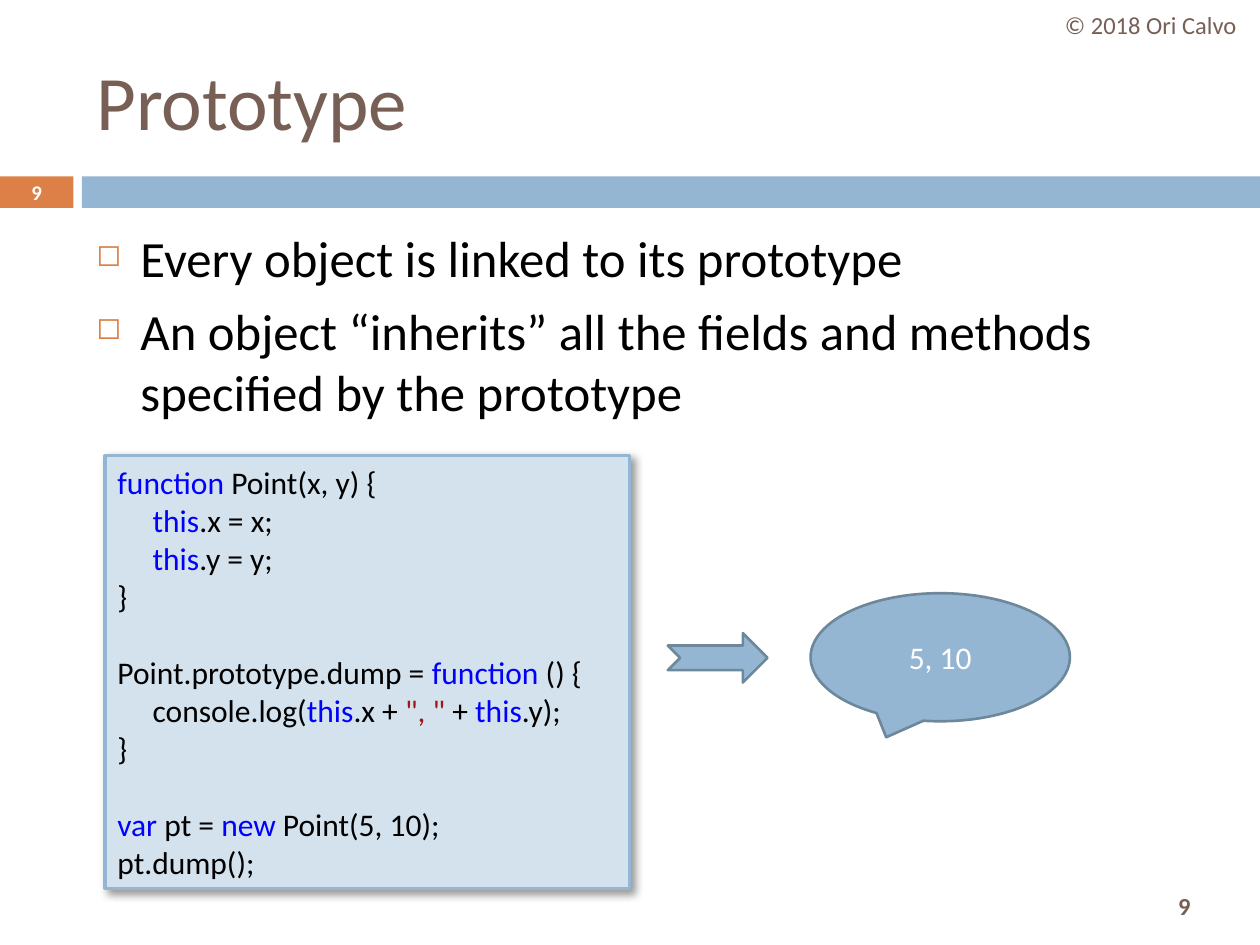
from dataclasses import dataclass

from lxml.etree import SubElement
from pptx import Presentation
from pptx.dml.color import RGBColor
from pptx.enum.shapes import MSO_SHAPE
from pptx.enum.text import MSO_ANCHOR, PP_ALIGN
from pptx.oxml.ns import qn
from pptx.util import Inches, Pt

UNIT = Inches(1 / 12)  # the slide is a grid of 120 columns by 90 rows


@dataclass(frozen=True)
class Theme:
    font: str = "Calibri"
    brown: str = "775F55"
    orange: str = "DD8047"
    blue: str = "94B6D2"
    pale_blue: str = "D4E2ED"
    outline: str = "6D879B"
    black: str = "000000"
    white: str = "FFFFFF"
    keyword: str = "0000FF"
    string: str = "A31515"
    title_size: float = 44
    body_size: float = 29
    code_size: float = 18
    small_size: float = 14
    badge_size: float = 11.9


THEME = Theme()


@dataclass(frozen=True)
class Area:
    col: float
    row: float
    cols: float
    rows: float

    def emu(self) -> list[int]:
        return [round(n * UNIT) for n in (self.col, self.row, self.cols, self.rows)]


@dataclass(frozen=True)
class Panel:
    kind: MSO_SHAPE
    area: Area
    fill: str
    line: str | None = None
    weight: float = 1.5


@dataclass(frozen=True)
class Span:
    text: str
    color: str = THEME.black


@dataclass(frozen=True)
class Line:
    spans: tuple[Span, ...]
    indent: float = 0  # inches
    hanging: float = 0  # inches
    before: float = 0  # points
    bullet: str = ""


@dataclass(frozen=True)
class Label:
    text: str
    area: Area
    size: float
    color: str
    bold: bool = False
    align: PP_ALIGN = PP_ALIGN.CENTER


def draw_panel(slide, panel: Panel):
    shape = slide.shapes.add_shape(panel.kind, *panel.area.emu())
    shape.shadow.inherit = False
    shape.fill.solid()
    shape.fill.fore_color.rgb = RGBColor.from_string(panel.fill)
    if panel.line:
        shape.line.color.rgb = RGBColor.from_string(panel.line)
        shape.line.width = Pt(panel.weight)
    else:
        shape.line.fill.background()
    return shape


def add_bullet(paragraph, bullet: str) -> None:
    props = paragraph._p.get_or_add_pPr()
    color = SubElement(props, qn("a:buClr"))
    SubElement(color, qn("a:srgbClr"), val=THEME.orange)
    SubElement(props, qn("a:buSzPct"), val="60000")
    SubElement(props, qn("a:buChar"), char=bullet)


def write(shape, lines: list[Line], size: float, bold: bool = False,
          align: PP_ALIGN = PP_ALIGN.LEFT,
          anchor: MSO_ANCHOR = MSO_ANCHOR.MIDDLE) -> None:
    frame = shape.text_frame
    frame.word_wrap = True
    frame.vertical_anchor = anchor
    for number, line in enumerate(lines):
        paragraph = frame.add_paragraph() if number else frame.paragraphs[0]
        paragraph.alignment = align
        paragraph.space_before = Pt(line.before)
        props = paragraph._p.get_or_add_pPr()
        props.set("marL", str(Inches(line.indent)))
        props.set("indent", str(-Inches(line.hanging)))
        if line.bullet:
            add_bullet(paragraph, line.bullet)
        for span in line.spans:
            run = paragraph.add_run()
            run.text = span.text
            formats = {"name": THEME.font, "size": Pt(size), "bold": bold}
            for key, value in formats.items():
                setattr(run.font, key, value)
            run.font.color.rgb = RGBColor.from_string(span.color)


def draw_label(slide, label: Label) -> None:
    box = slide.shapes.add_textbox(*label.area.emu())
    write(box, [Line((Span(label.text, label.color),))], label.size,
          label.bold, label.align)


def add_shadow(shape) -> None:
    effects = shape._element.spPr.find(qn("a:effectLst"))
    shadow = SubElement(effects, qn("a:outerShdw"), blurRad=str(Pt(5)),
                        dist=str(Pt(2.9)), dir=str(45 * 60000),
                        algn="tl", rotWithShape="0")
    color = SubElement(shadow, qn("a:srgbClr"), val=THEME.black)
    SubElement(color, qn("a:alpha"), val="40000")


def keyword(text: str) -> Span:
    return Span(text, THEME.keyword)


def code(*spans: Span, level: int = 0, gap: bool = False) -> Line:
    return Line(spans, indent=0.28 * level, before=22 if gap else 0)


def bullet_line(text: str) -> Line:
    return Line((Span(text),), indent=0.35, hanging=0.35, before=7, bullet="◻")


BANDS = [
    Panel(MSO_SHAPE.RECTANGLE, Area(0, 16.8, 7, 3), THEME.orange),
    Panel(MSO_SHAPE.RECTANGLE, Area(7.8, 16.8, 112.2, 3), THEME.blue),
]
LABELS = [
    Label("9", Area(107.3, 83.8, 11, 5), THEME.small_size, THEME.brown, True),
    Label("Prototype", Area(8, 3, 107, 13), THEME.title_size, THEME.brown,
          align=PP_ALIGN.LEFT),
    Label("© 2018 Ori Calvo", Area(99.2, 0, 20.8, 4.8), THEME.small_size, THEME.brown),
    Label("9", Area(0, 16.7, 7, 3.2), THEME.badge_size, THEME.white, True),
]
POINTS = [
    bullet_line("Every object is linked to its prototype"),
    bullet_line("An object “inherits” all the fields and methods specified by the prototype"),
]
CODE = [
    code(keyword("function"), Span(" Point(x, y) {")),
    code(keyword("this"), Span(".x = x;"), level=1),
    code(keyword("this"), Span(".y = y;"), level=1),
    code(Span("}")),
    code(Span("Point.prototype.dump = "), keyword("function"), Span(" () {"), gap=True),
    code(Span("console.log("), keyword("this"), Span(".x + "),
         Span('", "', THEME.string), Span(" + "), keyword("this"), Span(".y);"), level=1),
    code(Span("}")),
    code(keyword("var "), Span("pt = "), keyword("new"), Span(" Point(5, 10);"), gap=True),
    code(Span("pt.dump();")),
]


def main() -> None:
    deck = Presentation()
    deck.slide_width, deck.slide_height = 120 * UNIT, 90 * UNIT
    slide = deck.slides.add_slide(deck.slide_layouts[6])

    # Title band, title and page numbers
    for band in BANDS:
        draw_panel(slide, band)
    for label in LABELS:
        draw_label(slide, label)

    # Bullet points
    body = slide.shapes.add_textbox(*Area(8, 21, 107, 59).emu())
    write(body, POINTS, THEME.body_size, anchor=MSO_ANCHOR.TOP)

    # Code listing
    listing = draw_panel(slide, Panel(MSO_SHAPE.RECTANGLE, Area(10, 43.4, 50, 41.2),
                                      THEME.pale_blue, THEME.blue, 1.75))
    add_shadow(listing)
    write(listing, CODE, THEME.code_size)

    # Arrow to the printed result
    draw_panel(slide, Panel(MSO_SHAPE.NOTCHED_RIGHT_ARROW, Area(63.6, 60.3, 9.5, 4.7),
                            THEME.blue, THEME.outline))
    output = draw_panel(slide, Panel(MSO_SHAPE.OVAL_CALLOUT, Area(77.2, 56.5, 24.7, 12.2),
                                     THEME.blue, THEME.outline))
    write(output, [Line((Span("5, 10", THEME.white),))], THEME.code_size,
          align=PP_ALIGN.CENTER)

    deck.save("out.pptx")


if __name__ == "__main__":
    main()
